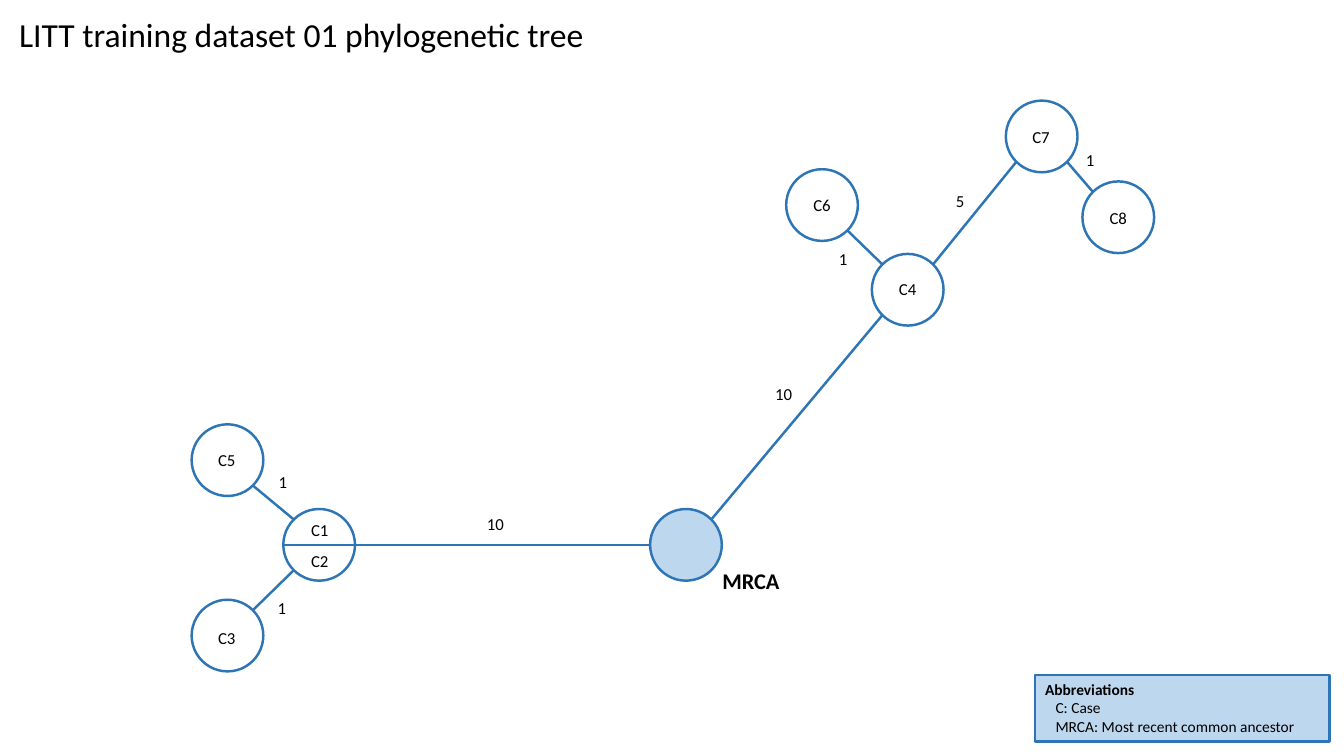
from lxml import etree
from pptx import Presentation
from pptx.dml.color import RGBColor
from pptx.enum.shapes import MSO_CONNECTOR, MSO_SHAPE
from pptx.enum.text import MSO_ANCHOR, PP_ALIGN
from pptx.oxml.ns import qn
from pptx.util import Pt

OVAL, RECT = MSO_SHAPE.OVAL, MSO_SHAPE.RECTANGLE
STRAIGHT = MSO_CONNECTOR.STRAIGHT
LEFT, CENTER = PP_ALIGN.LEFT, PP_ALIGN.CENTER
TOP = MSO_ANCHOR.TOP

COLORS = {"line": "2E75B6", "fill": "BDD7EE", "text": "000000"}
FONT = "Calibri"
LINE_WIDTH = 1.75
NODE_SIZE = 51.2

# Node centres, relative to the top left of the tree
NODES = {
    "C1/C2": (91, 317.2), "MRCA": (353, 317.2), "C4": (511.4, 135),
    "C3": (25.5, 382), "C5": (25.5, 256.7), "C6": (450.2, 74.5),
    "C7": (607.1, 25.5), "C8": (661.8, 83.2),
}
# Joined nodes, distance, centre of the distance label
EDGES = [
    ("C1/C2", "MRCA", "10", (216.9, 302.4)),
    ("MRCA", "C4", "10", (422.8, 209.5)),
    ("C1/C2", "C5", "1", (65, 272.2)),
    ("C1/C2", "C3", "1", (64.4, 362.2)),
    ("C4", "C6", "1", (465.3, 113)),
    ("C7", "C8", "1", (641.7, 42.5)),
    ("C4", "C7", "5", (548.8, 71.3)),
]
NODE_LABELS = {
    "C1": (91.4, 306.6), "C2": (91.4, 328.4), "C3": (25, 383.8),
    "C4": (511.4, 134.4), "C5": (25, 256.4), "C6": (450.2, 74.5),
    "C7": (606.6, 26), "C8": (661.8, 83.4),
}


def rgb(name):
    """Return the named colour."""
    return RGBColor.from_string(COLORS[name])


def write(p, text, size=12, bold=False, align=LEFT, indent=0):
    """Write formatted text into a paragraph."""
    p.alignment = align
    if indent:
        p._p.get_or_add_pPr().set("marL", str(Pt(indent)))
    r = p.add_run()
    r.text = text
    r.font.name, r.font.size, r.font.bold = FONT, Pt(size), bold
    r.font.color.rgb = rgb("text")


def add_text(s, text, x, y, w, h, **fmt):
    """Add a one-line text box."""
    tf = s.shapes.add_textbox(Pt(x), Pt(y), Pt(w), Pt(h)).text_frame
    tf.word_wrap = False
    write(tf.paragraphs[0], text, **fmt)


def add_label(s, text, cx, cy, w=28, h=21.8, **fmt):
    """Add text centred on a point."""
    add_text(s, text, cx - w / 2, cy - h / 2, w, h, align=CENTER, **fmt)


def add_outlined(s, kind, x, y, w, h, filled=False):
    """Add an outlined shape, filled or clear."""
    sp = s.shapes.add_shape(kind, Pt(x), Pt(y), Pt(w), Pt(h))
    sp.shadow.inherit = False
    sp.line.color.rgb, sp.line.width = rgb("line"), Pt(LINE_WIDTH)
    if filled:
        sp.fill.solid()
        sp.fill.fore_color.rgb = rgb("fill")
    else:
        sp.fill.background()
    return sp


def add_line(s, x1, y1, x2, y2):
    """Add a straight connector without a shadow."""
    c = s.shapes.add_connector(STRAIGHT, Pt(x1), Pt(y1), Pt(x2), Pt(y2))
    c.line.color.rgb, c.line.width = rgb("line"), Pt(LINE_WIDTH)
    etree.SubElement(c._element.spPr, qn("a:effectLst"))


def rim_offset(a, b):
    """Return the step from centre a to its rim site (side or diagonal) facing b."""
    dx, dy = ((q > p) - (q < p) for p, q in zip(a, b))
    scale = NODE_SIZE / 2 / (dx * dx + dy * dy) ** 0.5
    return dx * scale, dy * scale


def draw_tree(s, left, top):
    """Draw the nodes, edges and labels of the tree."""
    half = NODE_SIZE / 2
    nodes = {name: (left + x, top + y) for name, (x, y) in NODES.items()}
    for name, (x, y) in nodes.items():
        add_outlined(s, OVAL, x - half, y - half, NODE_SIZE, NODE_SIZE,
                     filled=name == "MRCA")
    for start, end, distance, (x, y) in EDGES:
        a, b = nodes[start], nodes[end]
        dx, dy = rim_offset(a, b)
        add_line(s, a[0] + dx, a[1] + dy, b[0] - dx, b[1] - dy)
        add_label(s, distance, left + x, top + y)
    x, y = nodes["C1/C2"]
    add_line(s, x - half, y, x + half, y)
    for name, (x, y) in NODE_LABELS.items():
        add_label(s, name, left + x, top + y)
    add_label(s, "MRCA", left + 399.4, top + 343.1, w=56, h=26.6,
              size=16, bold=True)


def draw_legend(s, x, y, w, h):
    """Draw the box of abbreviations."""
    tf = add_outlined(s, RECT, x, y, w, h, filled=True).text_frame
    tf.word_wrap, tf.vertical_anchor = True, TOP
    write(tf.paragraphs[0], "Abbreviations", size=11, bold=True)
    for line in ("C: Case", "MRCA: Most recent common ancestor"):
        write(tf.add_paragraph(), line, size=11, indent=7.5)


def draw_slide(prs):
    """Add the phylogenetic tree slide."""
    s = prs.slides.add_slide(prs.slide_layouts[6])
    draw_tree(s, 137, 72)
    add_text(s, "LITT training dataset 01 phylogenetic tree",
             6.5, 6.5, 422, 36, size=24)
    draw_legend(s, 739.4, 482.2, 210.4, 47.4)


prs = Presentation()
prs.slide_width, prs.slide_height = Pt(960), Pt(540)
draw_slide(prs)
prs.save("out.pptx")
